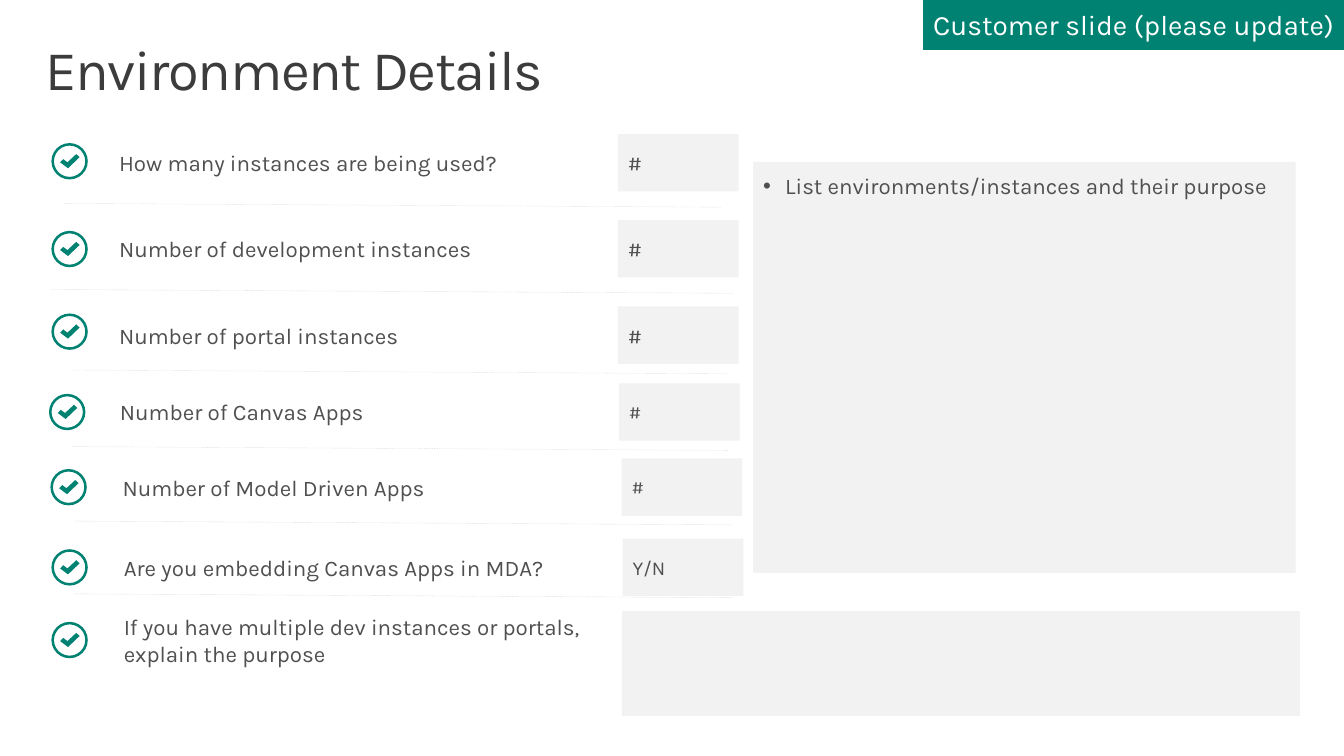
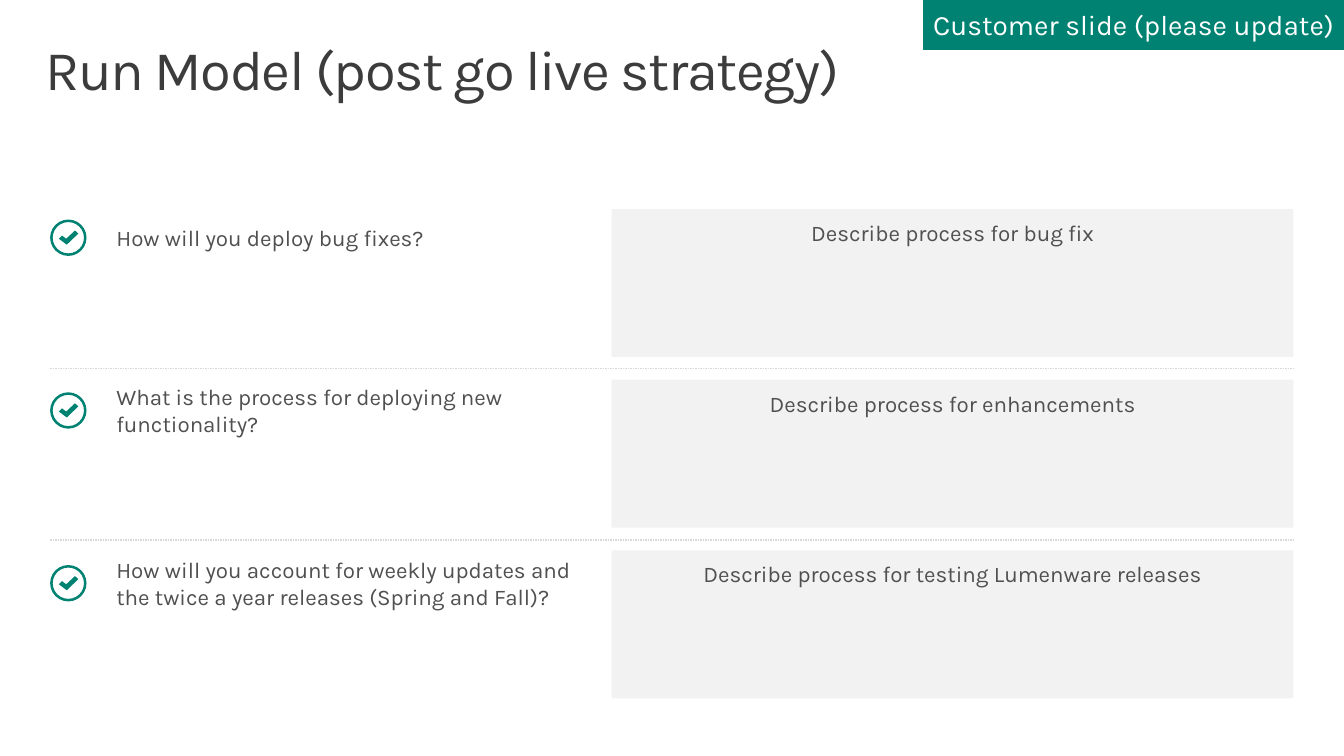
"""Build the environment details and run model slides."""
from dataclasses import dataclass

from lxml import etree
from pptx import Presentation
from pptx.dml.color import RGBColor
from pptx.enum.dml import MSO_LINE_DASH_STYLE
from pptx.enum.shapes import MSO_CONNECTOR, MSO_SHAPE
from pptx.enum.text import MSO_ANCHOR, PP_ALIGN
from pptx.oxml.ns import qn
from pptx.util import Pt

RECTANGLE, DONUT = MSO_SHAPE.RECTANGLE, MSO_SHAPE.DONUT
STRAIGHT, DASH = MSO_CONNECTOR.STRAIGHT, MSO_LINE_DASH_STYLE.DASH
TOP, MIDDLE = MSO_ANCHOR.TOP, MSO_ANCHOR.MIDDLE
LEFT, CENTER = PP_ALIGN.LEFT, PP_ALIGN.CENTER

FONT = "Karla"
BULLET_FONT = "Arial"
COLORS = {
    "title": "3C3C3C",
    "text": "505050",
    "accent": "008272",
    "panel": "F2F2F2",
    "rule": "D9D9D9",
    "white": "FFFFFF",
}
ICON_SIZE = 26
TICK = ((17.8, 7.9), (11.5, 13.8), (8.5, 11.5), (6.3, 13.8), (10.8, 17.2), (12, 18), (13, 17), (20.2, 10.1))
ROW_HEIGHT = 41
LABEL_WIDTH = 396.7
ANSWER_OFFSET = 399.6
PANEL_INSETS = (7.2, 7.2, 7.2, 3.6)


@dataclass(frozen=True)
class Box:
    left: float
    top: float
    width: float
    height: float


@dataclass(frozen=True)
class Rule:
    left: float
    top: float
    width: float = 468.9
    drop: float = 2.7


@dataclass(frozen=True)
class DetailRow:
    question: str
    left: float
    top: float
    icon_left: float
    icon_top: float
    answer: str = ""
    answer_size: int = 16
    rule: Rule | None = None


@dataclass(frozen=True)
class ProcessRow:
    question: str
    prompt: str
    label_width: float = LABEL_WIDTH


DETAIL_ROWS = (
    DetailRow("How many instances are being used?", 41.8, 95.8, 36.7, 102.2, "#", 16, Rule(46.1, 145.3)),
    DetailRow("Number of development instances", 41.8, 157.2, 36.7, 164.9, "#", 16, Rule(36.7, 206.8, 487.4)),
    DetailRow("Number of portal instances", 41.8, 218.9, 36.7, 223.9, "#", 16, Rule(51.1, 264.3)),
    DetailRow("Number of Canvas Apps", 42.5, 273.8, 35, 281.3, "#", 14, Rule(51.1, 319)),
    DetailRow("Number of Model Driven Apps", 44.4, 327.5, 36, 335, "#", 14, Rule(53.3, 372.2)),
    DetailRow("Are you embedding Canvas Apps in MDA?", 45.2, 384.7, 36.7, 392.3, "Y/N", 14, Rule(53.3, 424.2)),
    DetailRow("If you have multiple dev instances or portals, explain the purpose", 45.2, 436.5, 36.7, 444.2),
)
PROCESS_ROWS = (
    ProcessRow("How will you deploy bug fixes?", "Describe process for bug fix"),
    ProcessRow("What is the process for deploying new functionality?", "Describe process for enhancements"),
    ProcessRow(
        "How will you account for weekly updates and the twice a year releases (Spring and Fall)?",
        "Describe process for testing Lumenware releases",
        377.3,
    ),
)


def color(name: str) -> RGBColor:
    """Look up a palette colour."""
    return RGBColor.from_string(COLORS[name])


def write_text(shape, text: str, *, size: float = 16, ink: str = "text", align=LEFT, anchor=MIDDLE,
               insets=(7.2, 3.6, 7.2, 3.6), wrap: bool = True, spacing: float | None = None,
               tracking: int | None = None, bullet: bool = False) -> None:
    """Fill a shape with one formatted paragraph."""
    frame = shape.text_frame
    frame.word_wrap = wrap
    frame.vertical_anchor = anchor
    frame.margin_left, frame.margin_top, frame.margin_right, frame.margin_bottom = map(Pt, insets)
    paragraph = frame.paragraphs[0]
    paragraph.alignment = align
    if spacing is not None:
        paragraph.line_spacing = spacing
    run = paragraph.add_run()
    run.text = text
    run.font.name = FONT
    run.font.size = Pt(size)
    run.font.color.rgb = color(ink)
    if tracking is not None:
        run.font._element.set("spc", str(tracking))
    if bullet:
        properties = paragraph._p.get_or_add_pPr()
        properties.set("marL", str(Pt(15.8)))
        properties.set("indent", str(-Pt(15.8)))
        etree.SubElement(properties, qn("a:buFont")).set("typeface", BULLET_FONT)
        etree.SubElement(properties, qn("a:buChar")).set("char", "•")


def paint(shape, fill: str) -> None:
    """Give a shape a plain fill with neither outline nor shadow."""
    shape.shadow.inherit = False
    shape.fill.solid()
    shape.fill.fore_color.rgb = color(fill)
    shape.line.fill.background()


def place(box: Box) -> tuple:
    """Convert a box to slide lengths."""
    return Pt(box.left), Pt(box.top), Pt(box.width), Pt(box.height)


def add_panel(slide, box: Box, fill: str = "panel"):
    """Add a filled rectangle."""
    panel = slide.shapes.add_shape(RECTANGLE, *place(box))
    paint(panel, fill)
    return panel


def add_label(slide, box: Box, text: str, **text_format) -> None:
    """Add a text box."""
    write_text(slide.shapes.add_textbox(*place(box)), text, **text_format)


def add_rule(slide, rule: Rule) -> None:
    """Add a thin dashed separator."""
    connector = slide.shapes.add_connector(
        STRAIGHT, Pt(rule.left), Pt(rule.top), Pt(rule.left + rule.width), Pt(rule.top + rule.drop))
    connector.line.color.rgb = color("rule")
    connector.line.width = Pt(0.25)
    connector.line.dash_style = DASH
    etree.SubElement(connector._element.spPr, qn("a:effectLst"))


def add_check_icon(slide, left: float, top: float) -> None:
    """Add a ring with a tick inside as one group."""
    group = slide.shapes.add_group_shape()
    ring = group.shapes.add_shape(DONUT, *place(Box(left, top, ICON_SIZE, ICON_SIZE)))
    ring.adjustments[0] = 0.07
    paint(ring, "accent")
    points = [(x * 10, y * 10) for x, y in TICK]
    builder = group.shapes.build_freeform(*points[0], scale=Pt(0.1))
    builder.add_line_segments(points[1:], close=True)
    paint(builder.convert_to_shape(Pt(left), Pt(top)), "accent")


def add_question(slide, text: str, left: float, top: float, icon_left: float, icon_top: float,
                 width: float = LABEL_WIDTH) -> None:
    """Add a question with its check icon."""
    add_label(slide, Box(left, top, width, ROW_HEIGHT), text, insets=(43.2, 3.6, 7.2, 3.6))
    add_check_icon(slide, icon_left, icon_top)


def add_base_slide(presentation, title: str):
    """Add a blank slide with the shared title and banner."""
    slide = presentation.slides.add_slide(presentation.slide_layouts[6])
    add_label(slide, Box(20.9, 23, 918, 70.6), title, size=40, ink="title", anchor=TOP,
              insets=(11.5, 7.2, 11.5, 7.2), spacing=0.9, tracking=-100)
    banner = add_panel(slide, Box(659.5, 0, 300.5, 35), "accent")
    banner.line.color.rgb = color("accent")
    banner.line.width = Pt(0.25)
    write_text(banner, "Customer slide (please update)", size=20, ink="white", wrap=False)
    return slide


def build_environment_slide(presentation) -> None:
    """Build the slide of environment questions."""
    slide = add_base_slide(presentation, "Environment Details")
    for row in DETAIL_ROWS:
        add_question(slide, row.question, row.left, row.top, row.icon_left, row.icon_top)
        if row.answer:
            answer = add_panel(slide, Box(row.left + ANSWER_OFFSET, row.top, 86.2, ROW_HEIGHT))
            write_text(answer, row.answer, size=row.answer_size)
        if row.rule:
            add_rule(slide, row.rule)
    environments = add_panel(slide, Box(538, 115.7, 387.5, 293.6))
    write_text(environments, "List environments/instances and their purpose",
               anchor=TOP, insets=PANEL_INSETS, bullet=True)
    add_panel(slide, Box(444.2, 436.5, 484.3, 74.8))


def build_run_model_slide(presentation) -> None:
    """Build the slide of post go live processes."""
    slide = add_base_slide(presentation, "Run Model (post go live strategy)")
    for top in (262.9, 385.3, 385.9):
        add_rule(slide, Rule(36, top, 888, 0))
    for index, row in enumerate(PROCESS_ROWS):
        shift = index * 123.4
        add_question(slide, row.question, 39.9, 149.3 + shift, 35.8, 156.8 + shift, row.label_width)
        panel = add_panel(slide, Box(437, 149.3 + index * 121.9, 487, 105.7))
        write_text(panel, row.prompt, align=CENTER, anchor=TOP, insets=PANEL_INSETS)


def main() -> None:
    """Build and save the presentation."""
    presentation = Presentation()
    presentation.slide_width, presentation.slide_height = Pt(960), Pt(540)
    build_environment_slide(presentation)
    build_run_model_slide(presentation)
    presentation.save("out.pptx")


if __name__ == "__main__":
    main()
